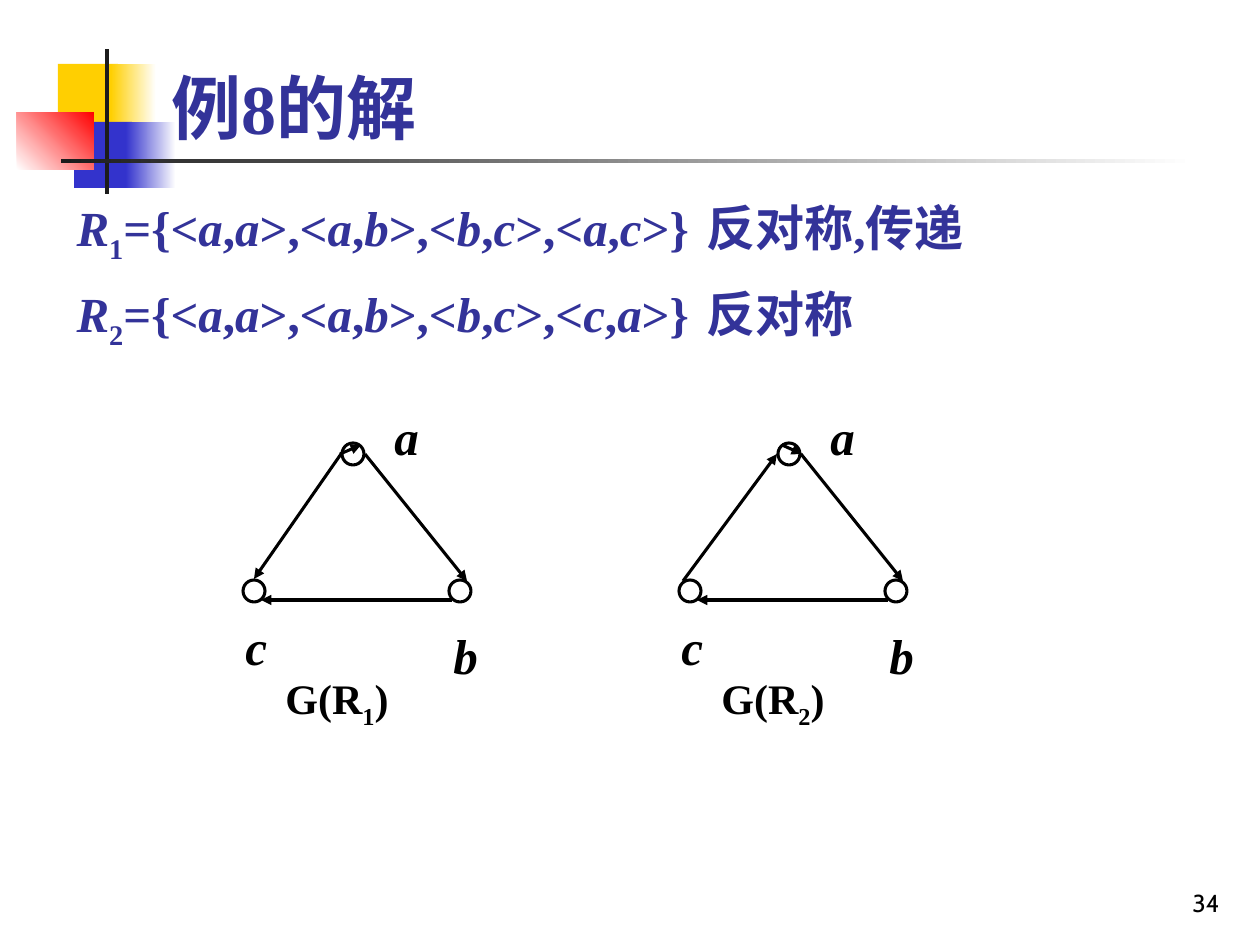
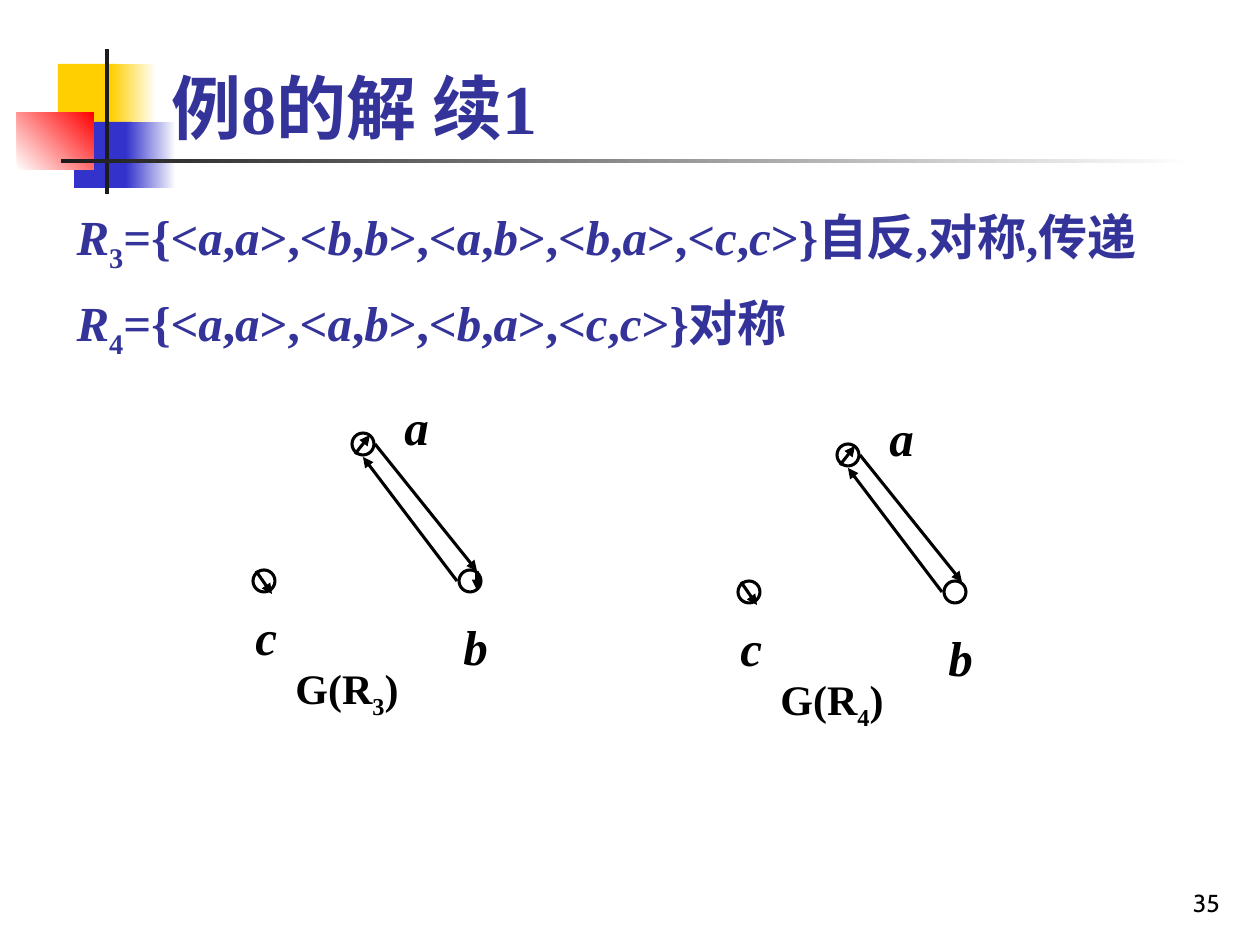
"""Build two slides that classify relations and draw their graphs."""
from dataclasses import dataclass
from itertools import groupby

from lxml import etree
from pptx import Presentation, util as u
from pptx.dml.color import RGBColor
from pptx.enum import shapes, text
from pptx.oxml.ns import qn


@dataclass(frozen=True)
class Theme:
    ink: str = "333399"
    black: str = "000000"
    white: str = "FFFFFF"
    yellow: str = "FFCF01"
    blue: str = "3333CC"
    red: str = "FF0000"
    charcoal: str = "1C1C1C"
    serif: str = "Times New Roman"
    sans: str = "Cabin"
    title_size: int = 40
    body_size: int = 28
    caption_size: int = 24
    number_size: int = 14
    line_spacing: float = 1.1
    body_gap: int = 7
    stroke: float = 1.75


THEME = Theme()
EMU_PER_PX = 914400 / 126
SLIDE_SIZE = (1260, 945)
FIRST_NUMBER = 34

SLIDES = [
    {
        "title": "例8的解",
        "body_top": 185,
        "relations": [
            "R1={<a,a>,<a,b>,<b,c>,<a,c>}\t反对称,传递",
            "R2={<a,a>,<a,b>,<b,c>,<c,a>}\t反对称",
        ],
        "graphs": [
            ("G(R1)", (243, 580), ["aa low", "ab", "bc", "ac"]),
            ("G(R2)", (679, 580), ["ca", "aa high", "ab", "bc"]),
        ],
    },
    {
        "title": "例8的解 续1",
        "body_top": 194,
        "relations": [
            "R3={<a,a>,<b,b>,<a,b>,<b,a>,<c,c>}自反,对称,传递",
            "R4={<a,a>,<a,b>,<b,a>,<c,c>}对称",
        ],
        "graphs": [
            ("G(R3)", (253, 570), ["aa steep", "ab", "bb", "cc", "ba"]),
            ("G(R4)", (738, 581), ["aa steep", "ab", "cc", "ba"]),
        ],
    },
]

# Offsets below are measured from the top left of node c.
NODES = {"a": (99, -137), "c": (0, 0), "b": (206, 0)}
NODE_LABELS = {"a": (139, -186), "c": (-10, 24), "b": (198, 34)}
NODE_SIZE = (22, 22)
LABEL_SIZE = (59, 78)
CAPTION_OFFSET, CAPTION_SIZE = (30, 81), (258, 76)
EDGES = {
    "ab": ((122, -126), (224, 1)),
    "ba": ((204, 11), (110, -113)),
    "bc": ((209, 20), (18, 20)),
    "ac": ((98, -126), (11, -1)),
    "ca": ((4, 1), (98, -126)),
    "aa low": ((97, -126), (118, -135)),
    "aa high": ((103, -135), (123, -126)),
    "aa steep": ((102, -116), (117, -135)),
    "bb": ((224, 1), (224, 20)),
    "cc": ((3, 1), (19, 24)),
}

TITLE_BOX = (159, 49, 1074, 106)
BODY_LEFT, BODY_SIZE = 64, (1150, 645)
REMARK_TAB = 649
NUMBER_BOX = (970, 861, 262, 63)
DECORATIONS = [
    ((58, 64, 60, 66), [THEME.yellow], 0),
    ((111, 64, 45, 66), [THEME.yellow, THEME.white], 0),
    ((74, 122, 58, 66), [THEME.blue], 0),
    ((126, 122, 50, 66), [THEME.blue, THEME.white], 0),
    ((17, 112, 77, 58), [THEME.white, THEME.red], 45),
    ((105, 49, 4, 145), [THEME.charcoal], 0),
    ((61, 159, 1134, 4), [THEME.charcoal, THEME.white], 0),
]


def px(*lengths):
    return [u.Emu(round(length * EMU_PER_PX)) for length in lengths]


def shifted(origin, offset):
    return origin[0] + offset[0], origin[1] + offset[1]


def place(shape, box):
    shape.left, shape.top, shape.width, shape.height = px(*box)


def set_font(paragraph, size, color, name=THEME.serif, bold=True):
    font = paragraph.font
    font.name, font.size, font.bold = name, u.Pt(size), bold
    font.color.rgb = RGBColor.from_string(color)


def add_notation(paragraph, notation, variables):
    """Italicise variables and lower digits."""
    def style_of(character):
        if character.isdigit():
            return "subscript"
        return "variable" if character in variables else "plain"

    for style, characters in groupby(notation, style_of):
        run = paragraph.add_run()
        run.text = "".join(characters)
        if style == "variable":
            run.font.italic = True
        elif style == "subscript":
            run._r.get_or_add_rPr().set("baseline", "-25000")


def add_decorations(master, slide):
    """Draw the shared corner blocks and move them to the master."""
    for index, (box, colors, angle) in enumerate(DECORATIONS):
        shape = slide.shapes.add_shape(shapes.MSO_SHAPE.RECTANGLE, *px(*box))
        shape.shadow.inherit = False
        shape.line.fill.background()
        if len(colors) == 1:
            shape.fill.solid()
            shape.fill.fore_color.rgb = RGBColor.from_string(colors[0])
        else:
            shape.fill.gradient()
            shape.fill.gradient_angle = angle
            for stop, color in zip(shape.fill.gradient_stops, colors):
                stop.color.rgb = RGBColor.from_string(color)
        shape.element.nvSpPr.cNvPr.set("id", str(20 + index))
        master.shapes.element.insert(2 + index, shape.element)


def add_title(slide, title):
    shape = slide.shapes.title
    place(shape, TITLE_BOX)
    frame = shape.text_frame
    frame.text = title
    frame.auto_size = text.MSO_AUTO_SIZE.NONE
    frame.vertical_anchor = text.MSO_ANCHOR.BOTTOM
    frame.paragraphs[0].alignment = text.PP_ALIGN.LEFT
    set_font(frame.paragraphs[0], THEME.title_size, THEME.ink)


def add_relations(slide, relations, top):
    body = slide.placeholders[1]
    place(body, (BODY_LEFT, top, *BODY_SIZE))
    frame = body.text_frame
    frame.auto_size = text.MSO_AUTO_SIZE.NONE
    for index, relation in enumerate(relations):
        paragraph = frame.add_paragraph() if index else frame.paragraphs[0]
        properties = paragraph._p.get_or_add_pPr()
        properties.set("marL", "0")
        properties.set("indent", "0")
        etree.SubElement(properties, qn("a:buNone"))
        if "\t" in relation:
            tabs = etree.SubElement(properties, qn("a:tabLst"))
            etree.SubElement(tabs, qn("a:tab"), pos=str(px(REMARK_TAB)[0]), algn="l")
        set_font(paragraph, THEME.body_size, THEME.ink)
        paragraph.line_spacing = THEME.line_spacing
        paragraph.space_before = u.Pt(THEME.body_gap if index else 0)
        add_notation(paragraph, relation, "Rabc")


def add_number(slide, number):
    frame = slide.shapes.add_textbox(*px(*NUMBER_BOX)).text_frame
    frame.word_wrap = True
    frame.vertical_anchor = text.MSO_ANCHOR.BOTTOM
    paragraph = frame.paragraphs[0]
    paragraph.alignment = text.PP_ALIGN.RIGHT
    field = etree.SubElement(paragraph._p, qn("a:fld"), type="slidenum",
                             id="{B6F15528-21DE-4FAA-801E-634DDDAF4B2B}")
    etree.SubElement(field, qn("a:rPr"), lang="en-US")
    etree.SubElement(field, qn("a:t")).text = str(number)
    set_font(paragraph, THEME.number_size, THEME.black, THEME.sans, False)


def add_label(group, notation, position, size, font_size, variables=""):
    frame = group.shapes.add_textbox(*px(*position, *size)).text_frame
    frame.word_wrap = True
    frame.auto_size = text.MSO_AUTO_SIZE.SHAPE_TO_FIT_TEXT
    paragraph = frame.paragraphs[0]
    paragraph.line_spacing = THEME.line_spacing
    set_font(paragraph, font_size, THEME.black)
    add_notation(paragraph, notation, variables)


def set_stroke(line):
    line.color.rgb = RGBColor.from_string(THEME.black)
    line.width = u.Pt(THEME.stroke)


def add_graph(slide, caption, origin, edges):
    group = slide.shapes.add_group_shape()
    add_label(group, caption, shifted(origin, CAPTION_OFFSET), CAPTION_SIZE,
              THEME.caption_size)
    for name, offset in NODES.items():
        node = group.shapes.add_shape(shapes.MSO_SHAPE.OVAL,
                                      *px(*shifted(origin, offset), *NODE_SIZE))
        node.shadow.inherit = False
        node.fill.background()
        set_stroke(node.line)
        add_label(group, name, shifted(origin, NODE_LABELS[name]), LABEL_SIZE,
                  THEME.body_size, name)
    for edge in edges:
        start, end = (shifted(origin, offset) for offset in EDGES[edge])
        arrow = group.shapes.add_connector(shapes.MSO_CONNECTOR.STRAIGHT,
                                           *px(*start, *end))
        set_stroke(arrow.line)
        etree.SubElement(arrow.line._get_or_add_ln(), qn("a:tailEnd"), type="triangle")
        etree.SubElement(arrow.element.spPr, qn("a:effectLst"))


def main():
    presentation = Presentation()
    presentation.slide_width, presentation.slide_height = px(*SLIDE_SIZE)
    presentation.element.set("firstSlideNum", str(FIRST_NUMBER))
    for index, content in enumerate(SLIDES):
        slide = presentation.slides.add_slide(presentation.slide_layouts[1])
        if index == 0:
            add_decorations(presentation.slide_master, slide)
        add_number(slide, FIRST_NUMBER + index)
        add_title(slide, content["title"])
        add_relations(slide, content["relations"], content["body_top"])
        for graph in content["graphs"]:
            add_graph(slide, *graph)
    presentation.save("out.pptx")


if __name__ == "__main__":
    main()
